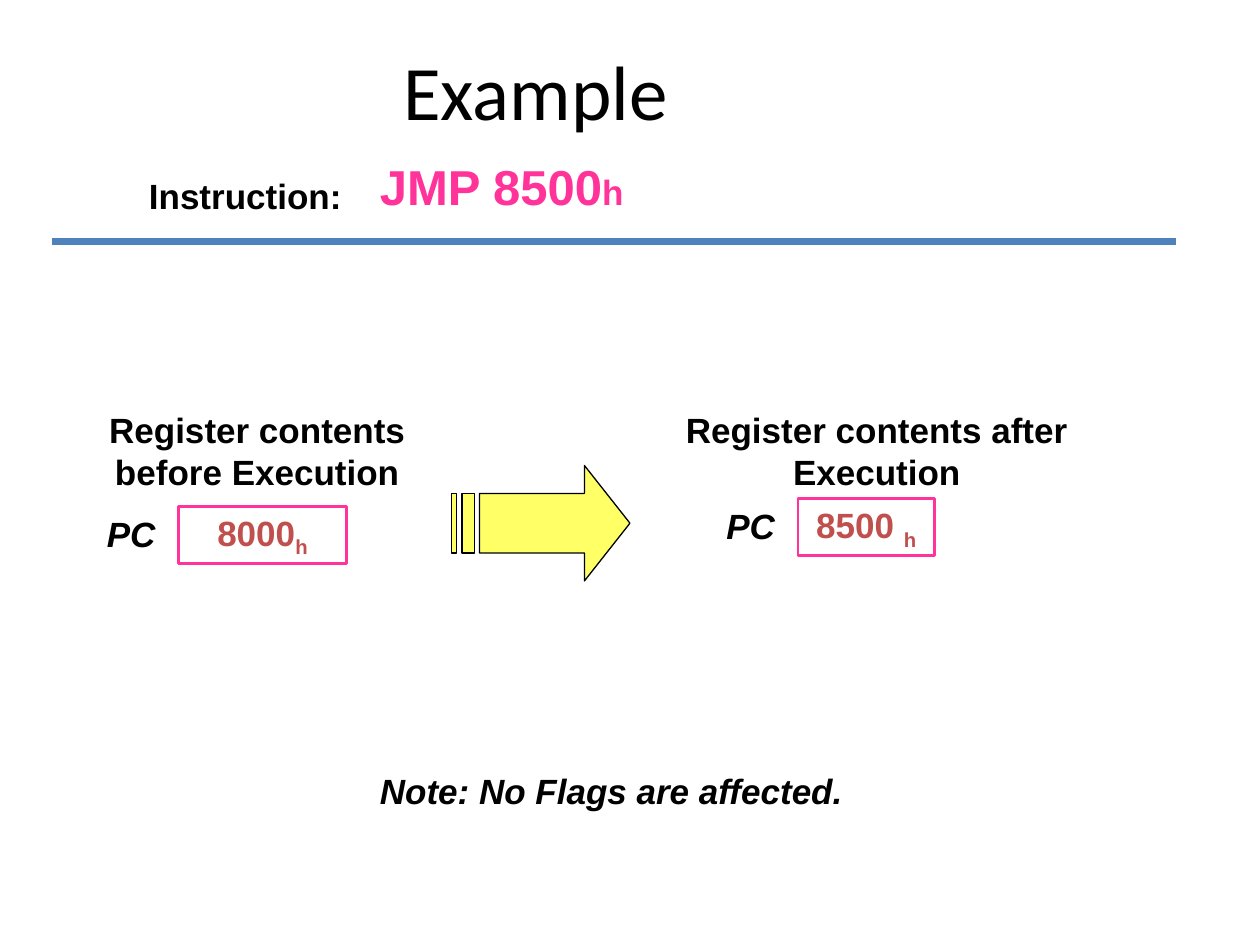
from lxml import etree
from pptx import Presentation
from pptx.dml.color import RGBColor
from pptx.enum.shapes import MSO_CONNECTOR, MSO_SHAPE
from pptx.enum.text import MSO_ANCHOR, MSO_AUTO_SIZE, PP_ALIGN
from pptx.oxml.ns import qn
from pptx.util import Pt

LEFT, MID, RIGHT = PP_ALIGN.LEFT, PP_ALIGN.CENTER, PP_ALIGN.RIGHT
RECT, LINE = MSO_SHAPE.RECTANGLE, MSO_CONNECTOR.STRAIGHT
GROW, NO_FIT = MSO_AUTO_SIZE.SHAPE_TO_FIT_TEXT, MSO_AUTO_SIZE.NONE
ANCHOR = MSO_ANCHOR.MIDDLE
HEX = {"ink": "000000", "pink": "FF3399", "red": "C0504D",
       "rule": "4F81BD", "arrow": "FFFF66"}


def color(name):
    """Return the named colour."""
    return RGBColor.from_string(HEX[name])


def add_run(para, text, size=20, tint="ink", bold=True, italic=False,
            face="Arial", base=0):
    """Add one formatted run; base is the baseline shift in percent."""
    run = para.add_run()
    run.text = text
    font = run.font
    font.name, font.size = face, Pt(size)
    font.bold, font.italic = bold, italic
    font.color.rgb = color(tint)
    if base:
        run._r.get_or_add_rPr().set("baseline", str(base * 1000))


def set_frame(shape, align):
    """Make the text frame wrap and grow, and return its first paragraph."""
    frame = shape.text_frame
    frame.word_wrap, frame.auto_size = True, GROW
    para = frame.paragraphs[0]
    para.alignment = align
    return para


def add_label(shapes, box, text, align=LEFT, **style):
    """Add a text box with one run and return its paragraph."""
    para = set_frame(shapes.add_textbox(*map(Pt, box)), align)
    add_run(para, text, **style)
    return para


def add_head(slide, box):
    """Place the title, the instruction and the rule below them."""
    left, top, width, height = box
    title = slide.shapes.title
    title.left, title.top = Pt(left), Pt(top)
    title.width, title.height = Pt(width), Pt(height)
    frame = title.text_frame
    frame.vertical_anchor, frame.auto_size = ANCHOR, NO_FIT
    para = frame.paragraphs[0]
    para.alignment = MID
    add_run(para, "Example", size=44, bold=False, face="Calibri")

    add_label(slide.shapes, (left + 78, top + 90, 132, 31), "Instruction:")
    para = add_label(slide.shapes, (left + 210, top + 80, 204, 41),
                     "JMP 8500", size=28, tint="pink")
    add_run(para, "h", tint="pink")

    level = Pt(top + 132)
    rule = slide.shapes.add_connector(LINE, Pt(left + 30), level,
                                      Pt(left + 672), level)
    rule.line.color.rgb, rule.line.width = color("rule"), Pt(4.5)
    etree.SubElement(rule._element.spPr, qn("a:effectLst"))


def add_state(slide, box, text, value, drop, width):
    """Group a caption with the PC register, drop points below its top."""
    left, top, wide, high = box
    shapes = slide.shapes.add_group_shape().shapes
    add_label(shapes, (left, top, wide, high), text, MID)
    cell = shapes.add_shape(RECT, Pt(left + 72), Pt(top + drop),
                            Pt(width), Pt(32.5))
    cell.shadow.inherit = False
    cell.fill.background()
    cell.line.color.rgb, cell.line.width = color("pink"), Pt(1.5)
    para = set_frame(cell, MID)
    add_run(para, value, tint="red")
    add_run(para, "h", tint="red", base=-25)
    add_label(shapes, (left, top + drop, 66, 31), "PC", RIGHT, italic=True)


def add_arrow(slide, box):
    """Draw a right arrow with two stripes as its tail."""
    left, top, width, height = box
    high, low = height / 4, height * 3 / 4
    neck = width * 3 / 4
    head = [(neck, 0), (neck, high), (16, high), (16, low), (neck, low),
            (neck, height), (width, height / 2)]
    bars = [[(a, high), (a, low), (b, low), (b, high)]
            for a, b in ((6.4, 12.8), (0, 3.2))]
    pen = slide.shapes.build_freeform(*head[0], scale=Pt(1))
    for ring in (head, *bars):
        if ring is not head:
            pen.move_to(*ring[0])
        pen.add_line_segments(ring[1:], close=True)
    arrow = pen.convert_to_shape(Pt(left), Pt(top))
    arrow.shadow.inherit = False
    arrow.fill.solid()
    arrow.fill.fore_color.rgb = color("arrow")
    arrow.line.color.rgb, arrow.line.width = color("ink"), Pt(0.75)


def main():
    """Build and save the slide."""
    deck = Presentation()
    deck.slide_width, deck.slide_height = Pt(720), Pt(540)
    slide = deck.slides.add_slide(deck.slide_layouts[5])
    add_head(slide, (0, 6, 612, 90))
    add_arrow(slide, (258, 266, 102, 66))
    add_state(slide, (30, 230, 234, 55.5),
              "Register contents before Execution", "8000", 59.5, 96)
    add_state(slide, (384, 230, 234, 55.5),
              "Register contents after Execution", "8500 ", 55, 78)
    add_label(slide.shapes, (210, 436, 282, 31),
              "Note: No Flags are affected.", italic=True)
    deck.save("out.pptx")


if __name__ == "__main__":
    main()
